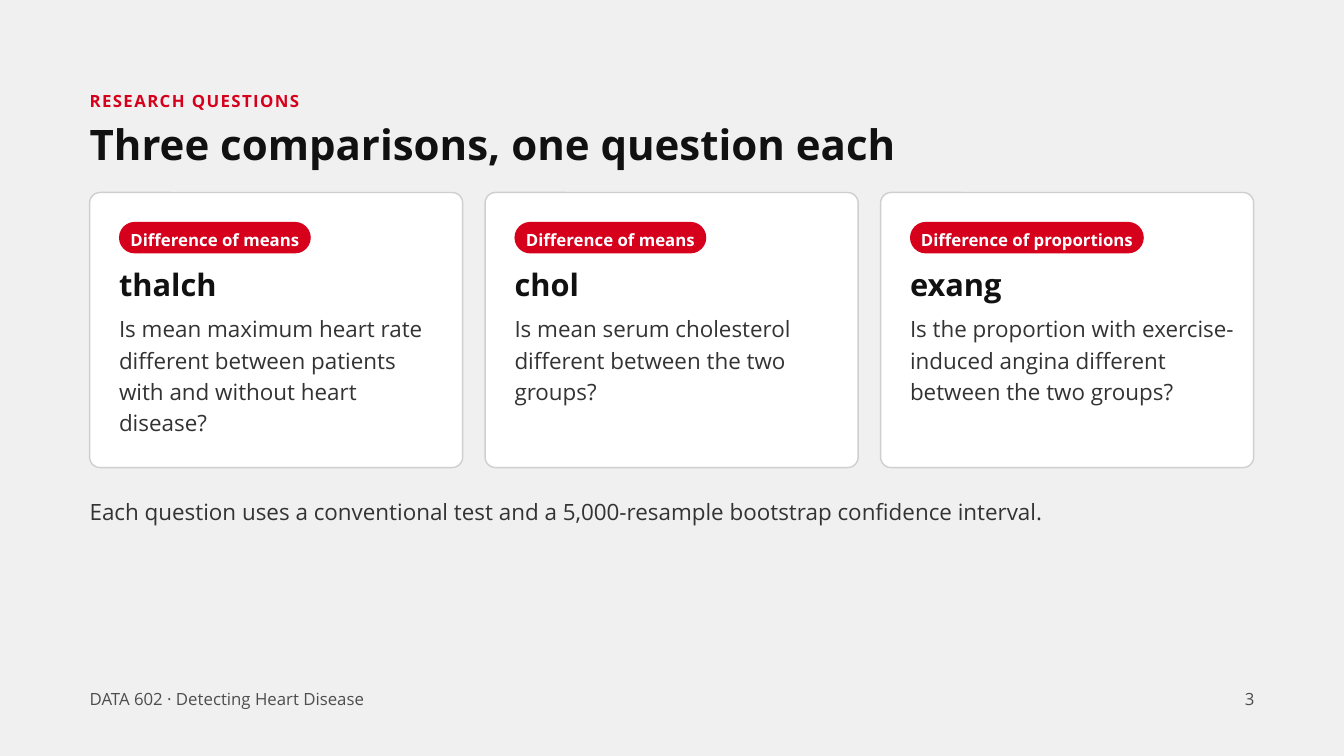
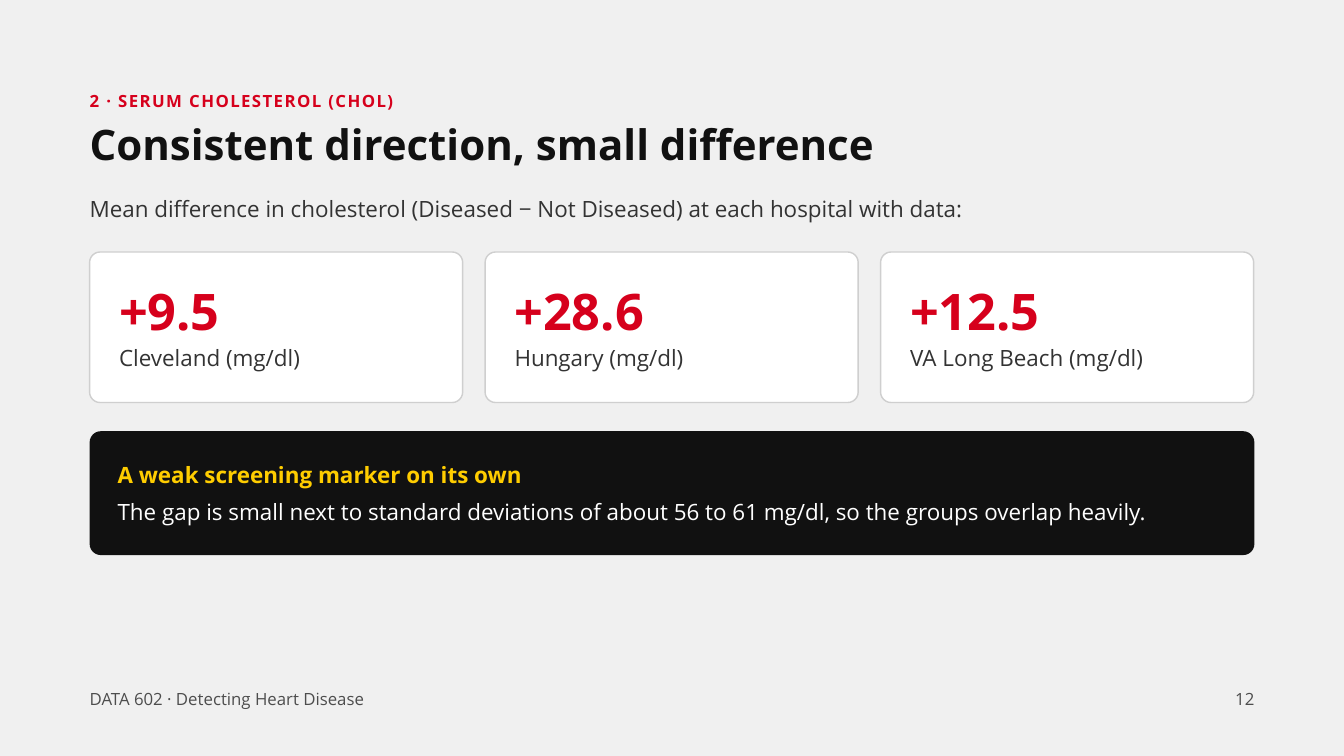
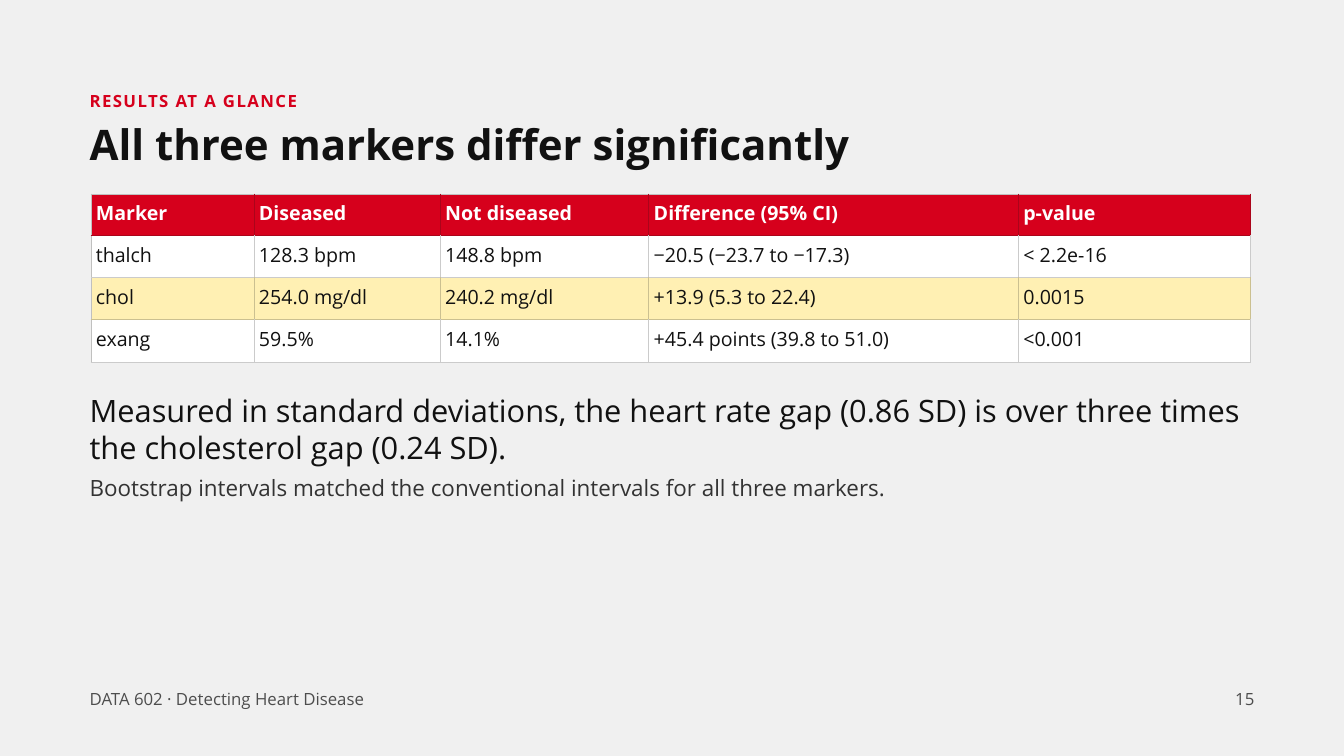
from typing import NamedTuple

from lxml import etree
from pptx import Presentation
from pptx.dml.color import RGBColor
from pptx.enum.shapes import MSO_SHAPE
from pptx.enum.text import MSO_ANCHOR, MSO_AUTO_SIZE, PP_ALIGN
from pptx.oxml.ns import qn
from pptx.util import Emu, Pt

ROUNDED = MSO_SHAPE.ROUNDED_RECTANGLE
MIDDLE = MSO_ANCHOR.MIDDLE
FIT_SHAPE = MSO_AUTO_SIZE.SHAPE_TO_FIT_TEXT
LEFT, CENTER, RIGHT = PP_ALIGN.LEFT, PP_ALIGN.CENTER, PP_ALIGN.RIGHT

EMU_PER_PX = 9525
FONT = "Open Sans"
RED, INK, BODY, MUTED = "D6001C", "111111", "333333", "4D4D4D"
WHITE, YELLOW, PAPER, CARD_EDGE = "FFFFFF", "FFCD00", "F0F0F0", "CFCFCF"
HIGHLIGHT, TABLE_EDGE = "FFF0B3", "C0C0BF"
ROW_EDGES = {RED: "AB041A", WHITE: "CBCBCB", HIGHLIGHT: "CBC090"}

MARGIN, CONTENT_WIDTH, TEXT_WIDTH = 128, 1664, 1714
CARD_GAP, CARD_PADDING, CARD_RADIUS = 32, 42, 15
CARD_WIDTH = (CONTENT_WIDTH - 2 * CARD_GAP) // 3
CARD_TEXT_WIDTH = 464


class TextStyle(NamedTuple):
    size: int
    leading: float
    color: str
    bold: bool = False
    slack: int = 0
    spacing: float = 0


KICKER = TextStyle(18, 25.2, RED, True, 7, 1.5)
TITLE = TextStyle(45, 49.5, INK, True)
PILL = TextStyle(18, 25.2, WHITE, True)
HEADING = TextStyle(33, 39.6, INK, True, 4)
LEAD = TextStyle(33, 39.6, INK)
PARAGRAPH = TextStyle(24, 33.6, BODY, slack=8)
NUMBER = TextStyle(54, 59.4, RED, True)
CALLOUT_HEADING = PARAGRAPH._replace(color=YELLOW, bold=True)
CALLOUT_TEXT = PARAGRAPH._replace(color=WHITE)
FOOTER = TextStyle(18, 25.2, MUTED, slack=7)
TABLE_HEADER = TextStyle(21, 29.4, WHITE, True)
TABLE_TEXT = TextStyle(21, 29.4, INK)


def px(length):
    return Emu(length * EMU_PER_PX)


def rgb(color):
    return RGBColor.from_string(color)


def set_insets(target, inset):
    target.margin_left = target.margin_right = px(inset)
    target.margin_top = target.margin_bottom = px(inset)


def write(text_frame, text, style, align=LEFT):
    text_frame.text = text
    paragraph = text_frame.paragraphs[0]
    paragraph.alignment = align
    paragraph.line_spacing = Pt(style.leading)
    run = paragraph.runs[0]
    run.font.name = FONT
    run.font.size = Pt(style.size)
    run.font.bold = style.bold
    run.font.color.rgb = rgb(style.color)
    if style.spacing:
        run._r.get_or_add_rPr().set("spc", str(int(style.spacing * 100)))


def add_borders(cell, colors):
    properties = cell._tc.get_or_add_tcPr()
    for tag, color in zip(("a:lnL", "a:lnR", "a:lnT", "a:lnB"), colors):
        line = etree.SubElement(properties, qn(tag), w=str(Pt(1)))
        fill = etree.SubElement(line, qn("a:solidFill"))
        etree.SubElement(fill, qn("a:srgbClr"), val=color)


class Deck:
    """Builds slides in one shared style."""

    def __init__(self):
        self.presentation = Presentation()
        self.presentation.slide_width = px(1920)
        self.presentation.slide_height = px(1080)
        self.slide = None

    def start_slide(self, kicker, title, number):
        self.slide = self.presentation.slides.add_slide(self.presentation.slide_layouts[6])
        background = self.slide.background.fill
        background.solid()
        background.fore_color.rgb = rgb(PAPER)
        self.text(kicker, MARGIN, 125, TEXT_WIDTH, KICKER)
        self.text(title, MARGIN, 175, TEXT_WIDTH, TITLE)
        self.text("DATA 602 · Detecting Heart Disease", MARGIN, 979, 1236, FOOTER)
        self.text(str(number), 1584, 979, 208, FOOTER, align=RIGHT)

    def text(self, text, left, top, width, style, lines=1, align=LEFT):
        height = round(style.leading * 4 / 3 * lines) + style.slack
        shape = self.slide.shapes.add_textbox(px(left), px(top), px(width), px(height))
        text_frame = shape.text_frame
        text_frame.word_wrap = True
        text_frame.auto_size = FIT_SHAPE
        set_insets(text_frame, 0)
        write(text_frame, text, style, align)

    def panel(self, left, top, width, height, radius, fill, edge=None):
        shape = self.slide.shapes.add_shape(ROUNDED, px(left), px(top), px(width), px(height))
        shape.adjustments[0] = radius / min(width, height)
        shape.shadow.inherit = False
        shape.fill.solid()
        shape.fill.fore_color.rgb = rgb(fill)
        if edge:
            shape.line.color.rgb = rgb(edge)
            shape.line.width = Pt(1.5)
        else:
            shape.line.fill.background()
        return shape

    def card(self, index, top, height):
        left = MARGIN + index * (CARD_WIDTH + CARD_GAP)
        self.panel(left, top, CARD_WIDTH, height, CARD_RADIUS, WHITE, CARD_EDGE)
        return left + CARD_PADDING

    def pill(self, text, left, top, width):
        height = 45
        shape = self.panel(left, top, width, height, height / 2, RED)
        text_frame = shape.text_frame
        text_frame.word_wrap = False
        text_frame.vertical_anchor = MIDDLE
        set_insets(text_frame, 6)
        write(text_frame, text, PILL, CENTER)

    def table(self, rows, fills, left, top, widths, heights):
        frame = self.slide.shapes.add_table(
            len(rows), len(widths), px(left), px(top), px(sum(widths)), px(sum(heights)))
        table = frame.table
        table.horz_banding = False
        for column, width in zip(table.columns, widths):
            column.width = px(width)
        edge_above = TABLE_EDGE
        for row_index, (values, fill, height) in enumerate(zip(rows, fills, heights)):
            table.rows[row_index].height = px(height)
            edge = ROW_EDGES[fill]
            style = TABLE_TEXT if row_index else TABLE_HEADER
            for column_index, value in enumerate(values):
                cell = table.cell(row_index, column_index)
                set_insets(cell, 7)
                write(cell.text_frame, value, style)
                edge_left = edge if column_index else TABLE_EDGE
                add_borders(cell, (edge_left, edge, edge_above, edge))
                cell.fill.solid()
                cell.fill.fore_color.rgb = rgb(fill)
            edge_above = edge


def add_questions(deck):
    deck.start_slide("RESEARCH QUESTIONS", "Three comparisons, one question each", 3)
    questions = [
        ("Difference of means", 274, "thalch", 4,
         "Is mean maximum heart rate different between patients with and without heart disease?"),
        ("Difference of means", 274, "chol", 3,
         "Is mean serum cholesterol different between the two groups?"),
        ("Difference of proportions", 334, "exang", 4,
         "Is the proportion with exercise-induced angina different between the two groups?"),
    ]
    for index, (method, pill_width, marker, lines, question) in enumerate(questions):
        left = deck.card(index, 275, 393)
        deck.pill(method, left, 317, pill_width)
        deck.text(marker, left, 379, CARD_TEXT_WIDTH, HEADING)
        deck.text(question, left, 444, CARD_TEXT_WIDTH, PARAGRAPH, lines)
    deck.text("Each question uses a conventional test and a 5,000-resample bootstrap "
              "confidence interval.", MARGIN, 705, TEXT_WIDTH, PARAGRAPH)


def add_cholesterol(deck):
    deck.start_slide("2 · SERUM CHOLESTEROL (CHOL)", "Consistent direction, small difference", 12)
    deck.text("Mean difference in cholesterol (Diseased − Not Diseased) at each hospital "
              "with data:", MARGIN, 272, TEXT_WIDTH, PARAGRAPH)
    differences = [("+9.5", "Cleveland"), ("+28.6", "Hungary"), ("+12.5", "VA Long Beach")]
    for index, (difference, hospital) in enumerate(differences):
        left = deck.card(index, 360, 215)
        deck.text(difference, left, 407, CARD_TEXT_WIDTH, NUMBER)
        deck.text(f"{hospital} (mg/dl)", left, 485, CARD_TEXT_WIDTH, PARAGRAPH)
    deck.panel(MARGIN, 616, CONTENT_WIDTH, 177, 16, INK)
    deck.text("A weak screening marker on its own", 168, 652, 1632, CALLOUT_HEADING)
    deck.text("The gap is small next to standard deviations of about 56 to 61 mg/dl, "
              "so the groups overlap heavily.", 168, 705, 1632, CALLOUT_TEXT)


def add_results(deck):
    deck.start_slide("RESULTS AT A GLANCE", "All three markers differ significantly", 15)
    rows = [
        ("Marker", "Diseased", "Not diseased", "Difference (95% CI)", "p-value"),
        ("thalch", "128.3 bpm", "148.8 bpm", "−20.5 (−23.7 to −17.3)", "< 2.2e-16"),
        ("chol", "254.0 mg/dl", "240.2 mg/dl", "+13.9 (5.3 to 22.4)", "0.0015"),
        ("exang", "59.5%", "14.1%", "+45.4 points (39.8 to 51.0)", "<0.001"),
    ]
    deck.table(rows, (RED, WHITE, HIGHLIGHT, WHITE), 130, 277,
               (233, 266, 298, 528, 331), (60, 60, 60, 61))
    deck.text("Measured in standard deviations, the heart rate gap (0.86 SD) is over three "
              "times the cholesterol gap (0.24 SD).", MARGIN, 559, 1658, LEAD, lines=2)
    deck.text("Bootstrap intervals matched the conventional intervals for all three markers.",
              MARGIN, 671, TEXT_WIDTH, PARAGRAPH)


def main():
    deck = Deck()
    add_questions(deck)
    add_cholesterol(deck)
    add_results(deck)
    deck.presentation.save("out.pptx")


if __name__ == "__main__":
    main()
